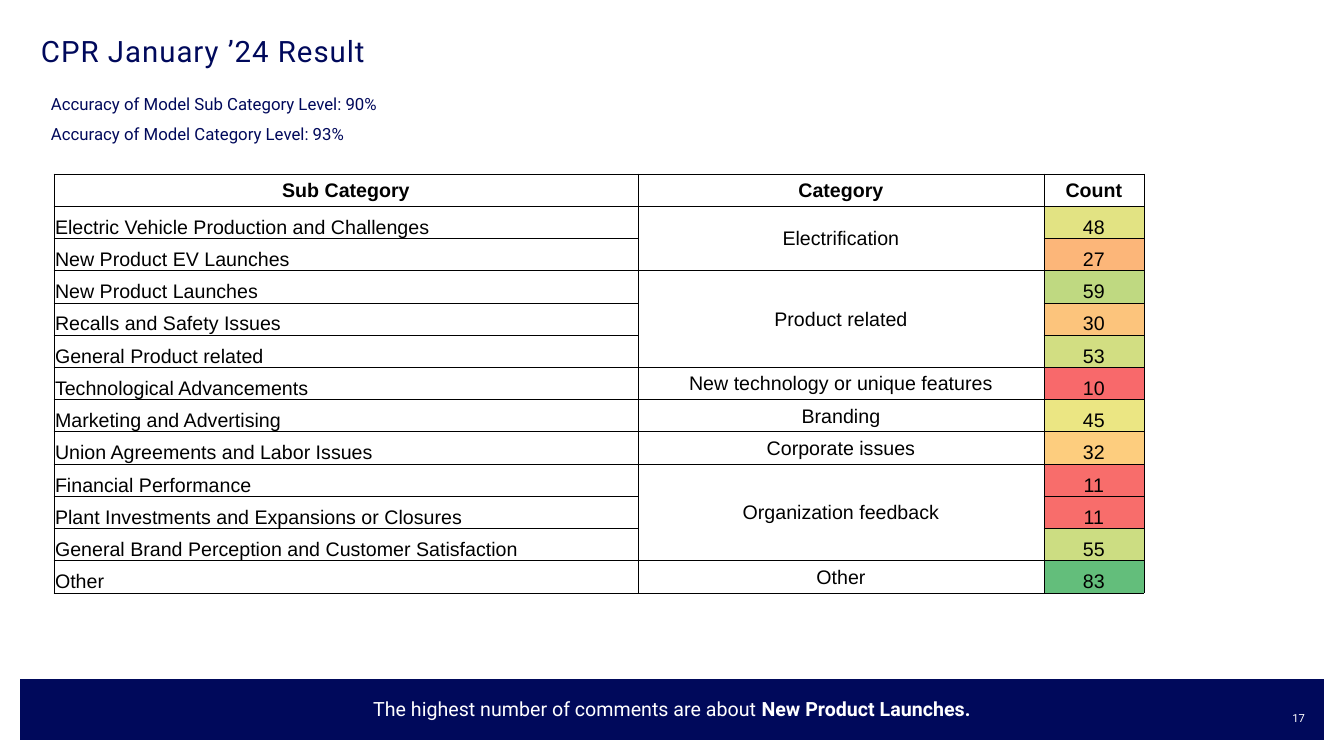
from lxml import etree
from pptx import Presentation
from pptx import util as u
from pptx.dml.color import RGBColor
from pptx.enum import shapes, text
from pptx.oxml.ns import qn

SCALE = 914400 / 100.8  # EMU per px
COLORS = {"navy": "00095B", "white": "FFFFFF", "black": "000000"}
LEFT, CENTER, RIGHT = text.PP_ALIGN.LEFT, text.PP_ALIGN.CENTER, text.PP_ALIGN.RIGHT
TOP, MIDDLE, BOTTOM = text.MSO_ANCHOR.TOP, text.MSO_ANCHOR.MIDDLE, text.MSO_ANCHOR.BOTTOM


def px(*lengths):
    return [u.Emu(round(length * SCALE)) for length in lengths]


def write(paragraph, words, size, color, font="Roboto", bold=False, align=LEFT):
    paragraph.alignment = align
    run = paragraph.add_run()
    run.text = words
    run.font.name, run.font.size, run.font.bold = font, u.Pt(size), bold
    run.font.color.rgb = RGBColor.from_string(COLORS[color])
    return run


deck = Presentation()
deck.slide_width, deck.slide_height = px(1344, 756)
slide = deck.slides.add_slide(deck.slide_layouts[6])

# Footer band
band = slide.shapes.add_shape(shapes.MSO_SHAPE.RECTANGLE, *px(20, 679, 1304, 61))
band.shadow.inherit = False
band.fill.solid()
band.fill.fore_color.rgb = RGBColor.from_string(COLORS["navy"])
band.line.fill.background()

# Text boxes: place, insets (left, top, right, bottom), anchor, alignment, size, colour, runs
boxes = [
    ((41, 32, 1159, 76), (0, 5, 10, 5), TOP, LEFT, 21, "navy",
     [("CPR January ’24 Result", False)]),
    ((41, 89, 374, 30), (10, 5, 10, 5), TOP, LEFT, 12, "navy",
     [("Accuracy of Model Sub Category Level: 90%", False)]),
    ((41, 119, 374, 30), (10, 5, 10, 5), TOP, LEFT, 12, "navy",
     [("Accuracy of Model Category Level: 93%", False)]),
    ((20, 692, 1304, 32), (10, 5, 10, 5), MIDDLE, CENTER, 14, "white",
     [("The highest number of comments are about ", False), ("New Product Launches.", True)]),
    ((1270, 706, 35, 40), (0, 5, 0, 5), TOP, RIGHT, 8, "white", [("17", False)]),
]
line_spacing = {21: 0.9, 14: 1.1}
for place, insets, anchor, align, size, color, runs in boxes:
    frame = slide.shapes.add_textbox(*px(*place)).text_frame
    frame.word_wrap = True
    frame.vertical_anchor = anchor
    (frame.margin_left, frame.margin_top,
     frame.margin_right, frame.margin_bottom) = px(*insets)
    paragraph = frame.paragraphs[0]
    paragraph.line_spacing = line_spacing.get(size)
    for words, bold in runs:
        run = write(paragraph, words, size, color, bold=bold, align=align)
        if size == 21:  # letter-spaced title
            run.font._element.set("spc", "70")

# Results table: sub category, category (empty when merged upwards), count, count fill
results = [
    ("Sub Category", "Category", "Count", None),
    ("Electric Vehicle Production and Challenges", "Electrification", "48", "E2E383"),
    ("New Product EV Launches", "", "27", "FCB679"),
    ("New Product Launches", "Product related", "59", "BFD981"),
    ("Recalls and Safety Issues", "", "30", "FCC47C"),
    ("General Product related", "", "53", "D2DE82"),
    ("Technological Advancements", "New technology or unique features", "10", "F8696B"),
    ("Marketing and Advertising", "Branding", "45", "EBE683"),
    ("Union Agreements and Labor Issues", "Corporate issues", "32", "FDCD7E"),
    ("Financial Performance", "Organization feedback", "11", "F86D6B"),
    ("Plant Investments and Expansions or Closures", "", "11", "F86D6B"),
    ("General Brand Perception and Customer Satisfaction", "", "55", "CCDD82"),
    ("Other", "Other", "83", "63BE7B"),
]
table = slide.shapes.add_table(len(results), 3, *px(54, 174, 1090, 419)).table
table.first_row = table.horz_banding = False
for column, width in zip(table.columns, px(584, 406, 100)):
    column.width = width

for r, (*words, count_fill) in enumerate(results):
    for c, label in enumerate(words):
        cell = table.cell(r, c)
        cell.margin_left, cell.margin_top, cell.margin_right, cell.margin_bottom = px(1, 1, 1, 0)
        cell.vertical_anchor = MIDDLE if r == 0 or c == 1 else BOTTOM
        # Thin black border on every side
        for side in ("lnL", "lnR", "lnT", "lnB"):
            border = etree.SubElement(cell._tc.get_or_add_tcPr(), qn(f"a:{side}"), w=str(u.Pt(0.5)))
            solid = etree.SubElement(border, qn("a:solidFill"))
            etree.SubElement(solid, qn("a:srgbClr"), val=COLORS["black"])
        if c == 2 and count_fill:
            cell.fill.solid()
            cell.fill.fore_color.rgb = RGBColor.from_string(count_fill)
        else:
            cell.fill.background()
        if label:
            write(cell.text_frame.paragraphs[0], label, 14, "black", "Arial", r == 0,
                  LEFT if c == 0 and r else CENTER)

# Merge each category with the empty cells below it
category_starts = [r for r, row in enumerate(results) if row[1]] + [len(results)]
for first, following in zip(category_starts, category_starts[1:]):
    if following - first > 1:
        table.cell(first, 1).merge(table.cell(following - 1, 1))

deck.save("out.pptx")
